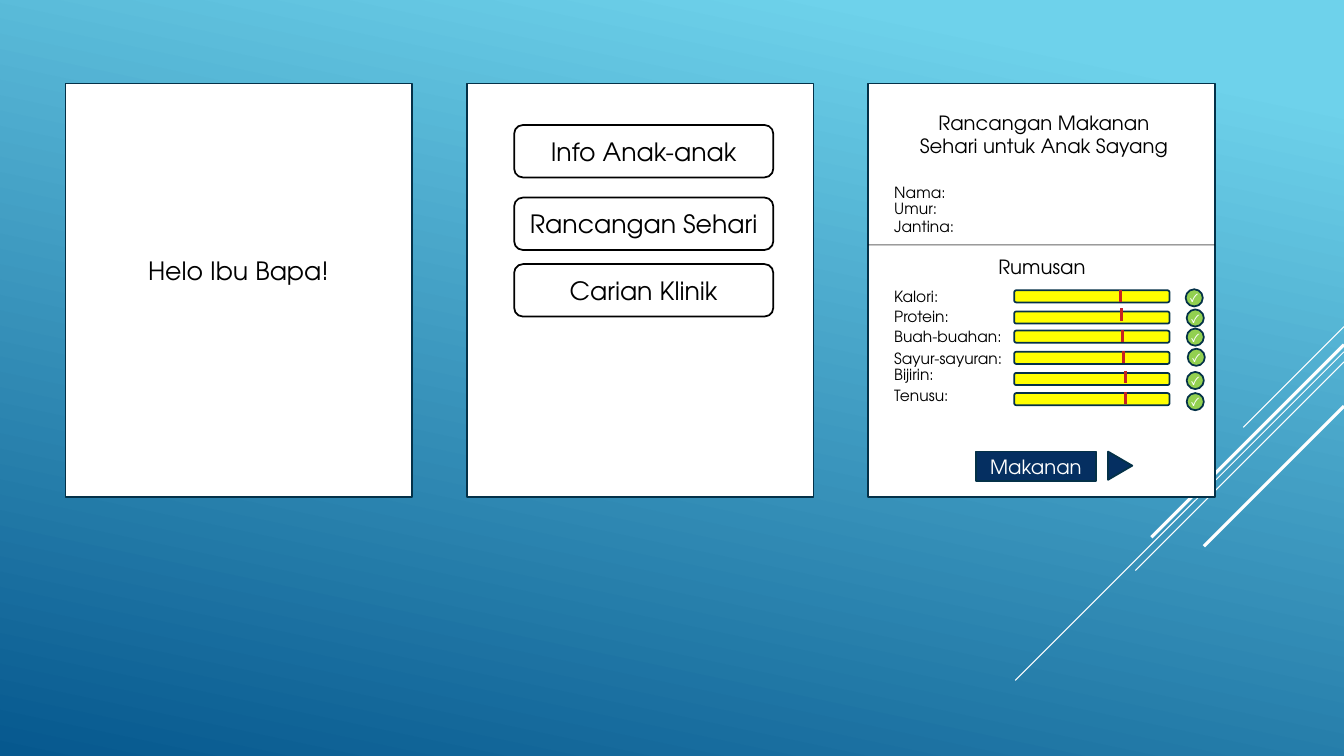
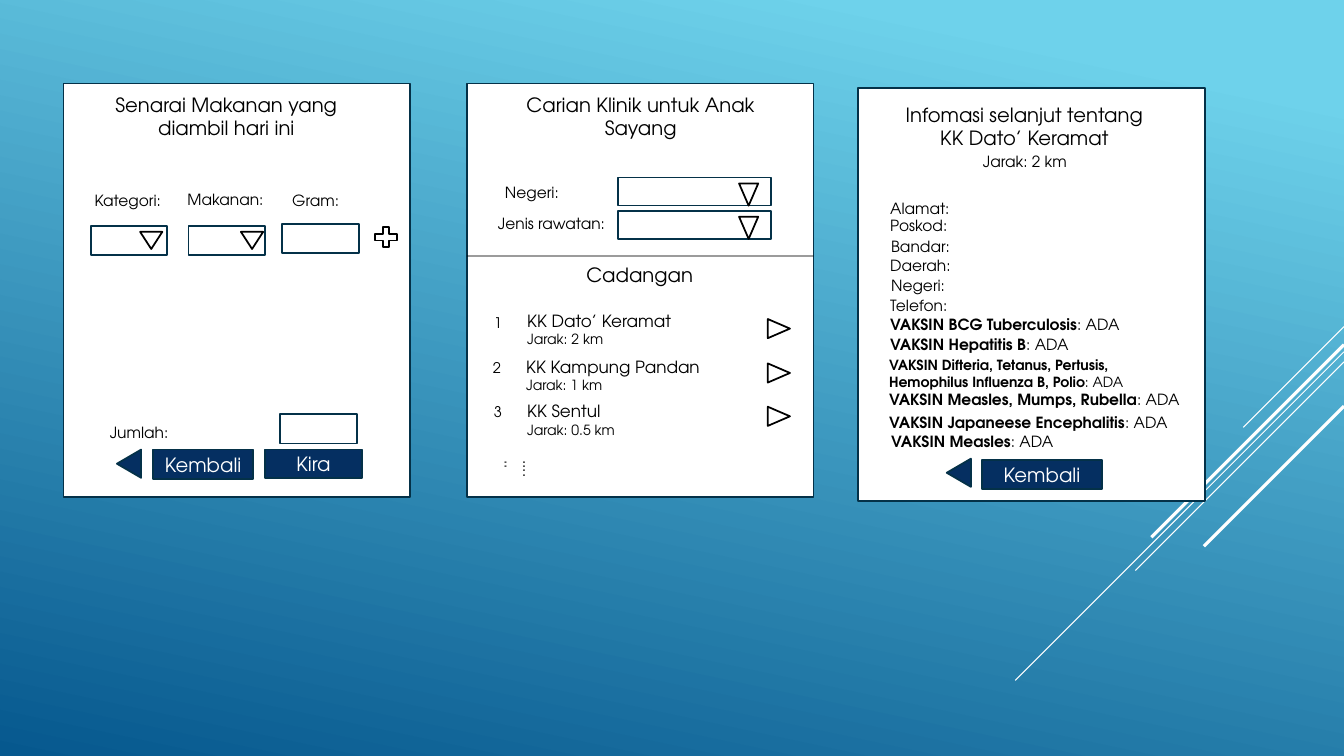
from lxml.etree import SubElement
from pptx import Presentation
from pptx.dml.color import RGBColor
from pptx.enum.shapes import MSO_CONNECTOR as Link, MSO_SHAPE as Form
from pptx.enum.text import MSO_ANCHOR as Anchor, PP_ALIGN as Align
from pptx.oxml.ns import qn
from pptx.util import Inches, Pt

FONT = "TeX Gyre Adventor"
SKY = RGBColor(0x6E, 0xD2, 0xEB)
SEA = RGBColor(0x06, 0x58, 0x8E)
NAVY = RGBColor(0x05, 0x2F, 0x61)
EDGE = RGBColor(0x04, 0x31, 0x48)
WHITE = RGBColor(0xFF, 0xFF, 0xFF)
BLACK = RGBColor(0, 0, 0)
YELLOW = RGBColor(0xFF, 0xFF, 0)
GREEN = RGBColor(0x92, 0xD0, 0x50)
RED = RGBColor(0xC6, 0x23, 0x24)
RIGHT, DOWN, LEFT = 90, 180, 270
RAYS = [(3.24, 1, 0.75), (3.49, 3.26, 0.75), (3.59, 2.07, 0.75),
        (3.42, 1.91, 2.25), (4.03, 1.39, 2.25)]


class Deck:
    def __init__(self):
        self.file = Presentation()
        self.file.slide_width = Inches(13.33)
        self.file.slide_height = Inches(7.5)

    def page(self):
        self.slide = self.file.slides.add_slide(self.file.slide_layouts[6])
        fill = self.slide.background.fill
        fill.gradient()
        fill.gradient_angle = 258
        for stop, color, place in zip(fill.gradient_stops, (SKY, SEA), (0.1, 1)):
            stop.color.rgb = color
            stop.position = place
        for top, size, width in RAYS:
            self.line(13.33, top, 13.33 - size, top + size, WHITE, width)

    def line(self, x1, y1, x2, y2, color, width, alpha=100):
        line = self.slide.shapes.add_connector(
            Link.STRAIGHT, Inches(x1), Inches(y1), Inches(x2), Inches(y2))
        line.line.color.rgb = color
        line.line.width = Pt(width)
        part = line._element.spPr
        if alpha < 100:
            tint = part.find(".//" + qn("a:srgbClr"))
            SubElement(tint, qn("a:alpha"), val=str(alpha * 1000))
        SubElement(part, qn("a:effectLst"))

    def shape(self, form, x, y, w, h, fill=None, edge=EDGE, turn=0,
              label="", size=14, color=WHITE):
        shape = self.slide.shapes.add_shape(
            form, Inches(x), Inches(y), Inches(w), Inches(h))
        shape.shadow.inherit = False
        shape.rotation = turn
        if fill is None:
            shape.fill.background()
        else:
            shape.fill.solid()
            shape.fill.fore_color.rgb = fill
        shape.line.color.rgb = edge
        shape.line.width = Pt(1.25)
        if label:
            frame = shape.text_frame
            frame.word_wrap = False
            frame.vertical_anchor = Anchor.MIDDLE
            frame.margin_left = frame.margin_right = 0
            frame.margin_top = frame.margin_bottom = 0
            para = frame.paragraphs[0]
            para.text = label
            para.alignment = Align.CENTER
            self.style(para, size, color)

    def style(self, para, size, color=BLACK):
        para.font.name = FONT
        para.font.size = Pt(size)
        para.font.color.rgb = color

    def text(self, x, y, w, h, *lines, sizes=(11,), align=Align.LEFT):
        box = self.slide.shapes.add_textbox(
            Inches(x), Inches(y), Inches(w), Inches(h))
        frame = box.text_frame
        frame.word_wrap = True
        for i, (line, size) in enumerate(zip(lines, sizes)):
            para = frame.add_paragraph() if i else frame.paragraphs[0]
            para.text = line
            para.alignment = align
            self.style(para, size)
        return frame

    def head(self, x, y, w, text, h=0.57):
        self.text(x, y, w, h, text, sizes=(14,), align=Align.CENTER)

    def fact(self, x, y, w, h, name, size=11):
        para = self.text(x, y, w, h, name, sizes=(size,)).paragraphs[0]
        para.runs[0].font.bold = True
        para.add_run().text = ": ADA"

    def panel(self, x, y=0.83):
        self.shape(Form.RECTANGLE, x, y, 3.44, 4.1, WHITE)

    def rule(self, x, y):
        self.line(x, y, x + 3.44, y, BLACK, 0.75, 60)

    def field(self, x, y, w=0.76, h=0.29):
        self.shape(Form.RECTANGLE, x, y, w, h)

    def mark(self, x, y, turn, w=0.19, h=0.22):
        self.shape(Form.ISOSCELES_TRIANGLE, x, y, w, h, edge=BLACK, turn=turn)

    def arrow(self, x, y, turn):
        self.shape(Form.ISOSCELES_TRIANGLE, x, y, 0.28, 0.24, NAVY, turn=turn)

    def button(self, x, y, w, label, h=0.29):
        self.shape(Form.RECTANGLE, x, y, w, h, NAVY, label=label)


def home(deck):
    deck.panel(0.65)
    deck.text(1.37, 2.48, 2, 0.4, "Helo Ibu Bapa!", sizes=(18,))


def menu(deck):
    deck.panel(4.63)
    for y, label in [(1.24, "Info Anak-anak"), (1.96, "Rancangan Sehari"),
                     (2.62, "Carian Klinik")]:
        deck.shape(Form.ROUNDED_RECTANGLE, 5.1, y, 2.57, 0.52, WHITE, BLACK,
                   label=label, size=18, color=BLACK)


def plan(deck):
    deck.panel(8.61)
    deck.head(8.94, 1.05, 2.83, "Rancangan Makanan Sehari untuk Anak Sayang")
    for y, label in [(1.77, "Nama:"), (1.93, "Umur:"), (2.1, "Jantina:")]:
        deck.text(8.77, y, 0.91, 0.29, label)
    deck.rule(8.61, 2.43)
    deck.head(9.8, 2.48, 1.07, "Rumusan", 0.34)
    rows = [
        ("Kalori:", 2.8, 2.88, 11.11, 2.88, 11.76, 2.87),
        ("Protein:", 3, 3.09, 11.12, 3.06, 11.77, 3.07),
        ("Buah-buahan:", 3.2, 3.28, 11.13, 3.27, 11.77, 3.26),
        ("Sayur-sayuran:", 3.41, 3.49, 11.14, 3.48, 11.78, 3.46),
        ("Bijirin:", 3.57, 3.7, 11.16, 3.68, 11.77, 3.69),
        ("Tenusu:", 3.78, 3.9, 11.16, 3.89, 11.77, 3.9),
    ]
    for label, y, bar, tick, top, left, dot in rows:
        deck.text(8.77, y, 1.29, 0.29, label)
        deck.shape(Form.ROUNDED_RECTANGLE, 10.06, bar, 1.54, 0.12, YELLOW)
        deck.line(tick, top, tick, top + 0.12, RED, 2.25)
        deck.shape(Form.OVAL, left, dot, 0.17, 0.17, GREEN, label="✓", size=9)
    deck.button(9.68, 4.48, 1.19, "Makanan")
    deck.arrow(10.97, 4.5, RIGHT)


def meals(deck):
    deck.panel(0.63)
    deck.head(0.8, 0.87, 2.89, "Senarai Makanan yang diambil hari ini")
    for x, y, label in [(0.84, 1.85, "Kategori:"), (1.76, 1.84, "Makanan:"),
                        (2.8, 1.85, "Gram:"), (0.99, 4.15, "Jumlah:")]:
        deck.text(x, y, 0.99, 0.29, label)
    for x, y in [(0.9, 2.24), (1.87, 2.24), (2.8, 2.22), (2.78, 4.11)]:
        deck.field(x, y)
    for x in (1.39, 2.39):
        deck.mark(x, 2.3, DOWN, 0.22, 0.17)
    deck.shape(Form.MATH_PLUS, 3.68, 2.22, 0.3, 0.27, edge=BLACK)
    deck.arrow(1.14, 4.48, LEFT)
    deck.button(1.52, 4.46, 0.99, "Kembali")
    deck.button(2.63, 4.46, 0.96, "Kira", 0.28)


def search(deck):
    deck.panel(4.63)
    deck.head(4.94, 0.87, 2.83, "Carian Klinik untuk Anak Sayang")
    for x, y, label, top in [(4.91, 1.77, "Negeri:", 1.76),
                             (4.84, 2.07, "Jenis rawatan:", 2.09)]:
        deck.text(x, y, 1.39, 0.29, label)
        deck.field(6.13, top, 1.52, 0.28)
        deck.mark(7.33, top + 0.06, DOWN)
    deck.rule(4.63, 2.54)
    deck.head(5.69, 2.56, 1.31, "Cadangan", 0.34)
    rows = [
        ("1", 4.8, 3.06, "KK Dato’ Keramat", "2", 5.13, 3.03, 3.15),
        ("2", 4.79, 3.51, "KK Kampung Pandan", "1", 5.12, 3.49, 3.59),
        ("3", 4.8, 3.95, "KK Sentul", "0.5", 5.13, 3.93, 4.02),
    ]
    for rank, x, y, name, far, left, top, tip in rows:
        deck.text(x, y, 0.25, 0.29, rank, sizes=(10.5,))
        deck.text(left, top, 2.15, 0.47, name, f"Jarak: {far} km", sizes=(12, 10))
        deck.mark(7.63, tip, RIGHT)
    dots = deck.text(5, 4.47, 0.39, 0.37, "......")
    dots._txBody.bodyPr.set("vert", "eaVert")


def clinic(deck):
    deck.panel(8.51, 0.87)
    deck.head(8.79, 0.97, 2.74, "Infomasi selanjut tentang KK Dato’ Keramat")
    deck.text(9.65, 1.46, 1.15, 0.29, "Jarak: 2 km")
    for x, y, label in [(8.73, 1.93, "Alamat:"), (8.73, 2.09, "Poskod:"),
                        (8.74, 2.3, "Bandar:"), (8.73, 2.49, "Daerah:"),
                        (8.74, 2.69, "Negeri:"), (8.73, 2.89, "Telefon:")]:
        deck.text(x, y, 1.02, 0.29, label)
    for x, y, w, name in [(8.73, 3.08, 2.52, "BCG Tuberculosis"),
                          (8.73, 3.28, 2.52, "Hepatitis B"),
                          (8.72, 3.82, 3.1, "Measles, Mumps, Rubella"),
                          (8.72, 4.05, 3.01, "Japaneese Encephalitis"),
                          (8.74, 4.24, 2.52, "Measles")]:
        deck.fact(x, y, w, 0.29, "VAKSIN " + name)
    deck.fact(8.72, 3.49, 2.8, 0.44, "VAKSIN Difteria, Tetanus, Pertusis, "
              "Hemophilus Influenza B, Polio", 10)
    deck.arrow(9.37, 4.57, LEFT)
    deck.button(9.74, 4.56, 1.19, "Kembali")


deck = Deck()
for views in [(home, menu, plan), (meals, search, clinic)]:
    deck.page()
    for view in views:
        view(deck)
deck.file.save("out.pptx")
